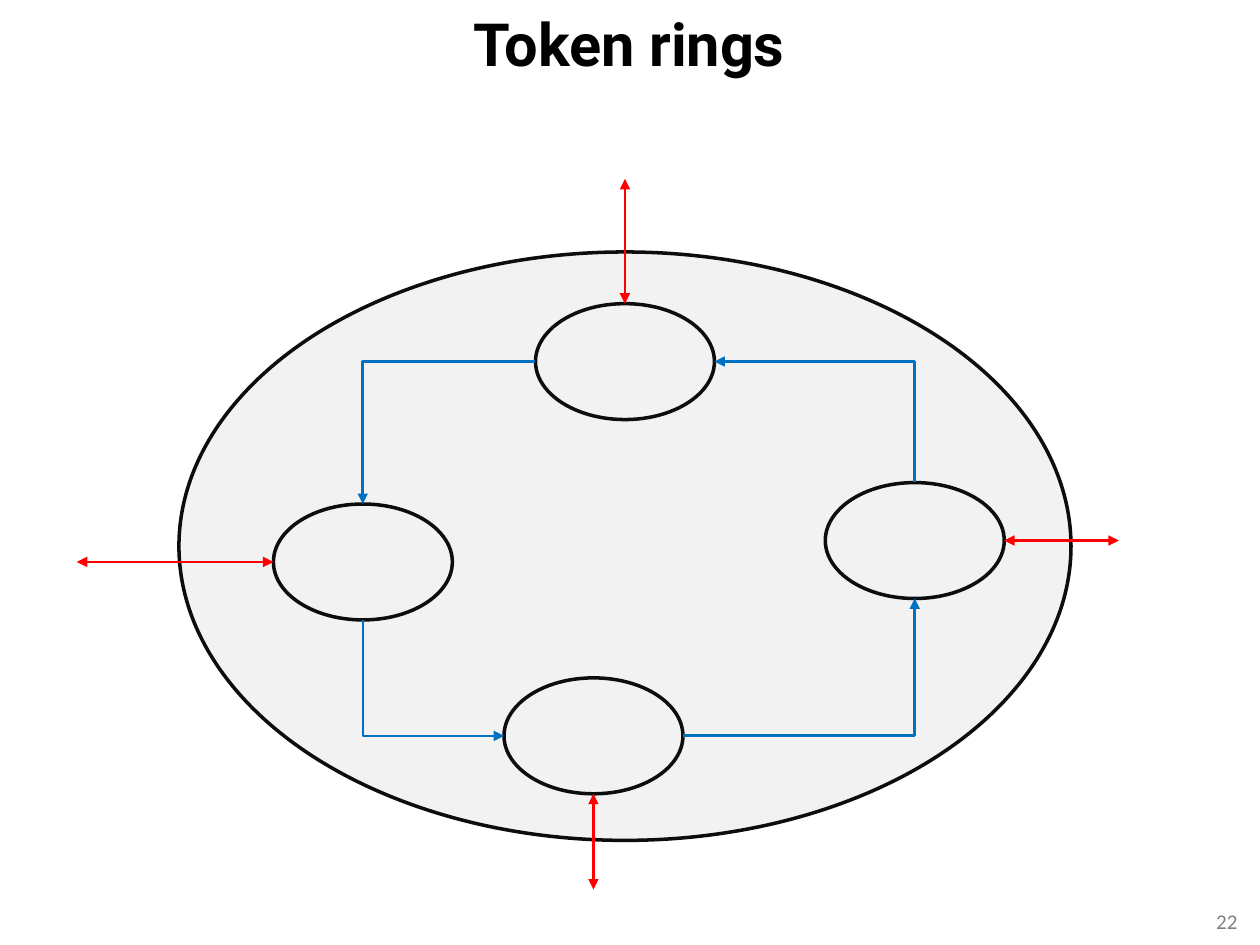
import pptx
import pptx.dml.color
import pptx.enum.shapes
import pptx.enum.text
import pptx.oxml
import pptx.oxml.ns
import pptx.util

Inches = pptx.util.Inches
ANCHOR = pptx.enum.text.MSO_ANCHOR
ALIGN = pptx.enum.text.PP_ALIGN
CONNECTOR = pptx.enum.shapes.MSO_CONNECTOR

THEME = {
    "ring_fill": "F2F2F2", "outline": "0D0D0D", "token": "0070C0", "link": "FF0000",
    "outline_width": 2, "arrow_width": 1.5,
    "title": {"name": "Roboto", "size": 34, "bold": True, "color": "000000"},
    "number": {"name": "Calibri", "size": 12, "bold": False, "color": "808080"},
}

TEXTS = [
    ("Token rings", (0.33, -0.08, 9.33, 0.75), "title", ANCHOR.BOTTOM, ALIGN.CENTER),
    ("22", (9.25, 7.11, 0.67, 0.4), "number", ANCHOR.MIDDLE, ALIGN.RIGHT),
]
RING = (1.42, 2, 7.08, 4.67)
NODE_WIDTH, NODE_HEIGHT = 1.42, 0.92
NODES = {"top": (4.25, 2.41), "left": (2.17, 4), "bottom": (4, 5.38), "right": (6.55, 3.83)}
# The token leaves one node's side and enters the next node's side.
TOKEN_PATHS = [
    ("top", "west", "left", "north"),
    ("left", "south", "bottom", "west"),
    ("bottom", "east", "right", "south"),
    ("right", "north", "top", "east"),
]
# Each node's side and the outer end of its link along that direction.
LINKS = [("top", "north", 1.42), ("left", "west", 0.61),
         ("right", "east", 8.88), ("bottom", "south", 7.06)]
SIDES = {"north": (0.5, 0), "south": (0.5, 1), "west": (0, 0.5), "east": (1, 0.5)}


def color(name):
    return pptx.dml.color.RGBColor.from_string(name)


def add_text(slide, text, box, style_name, anchor, alignment):
    frame = slide.shapes.add_textbox(*map(Inches, box)).text_frame
    frame.word_wrap = True
    frame.vertical_anchor = anchor
    paragraph = frame.paragraphs[0]
    paragraph.text = text
    paragraph.alignment = alignment
    style = THEME[style_name]
    values = {"name": style["name"], "size": pptx.util.Pt(style["size"]), "bold": style["bold"]}
    for attribute, value in values.items():
        setattr(paragraph.font, attribute, value)
    paragraph.font.color.rgb = color(style["color"])


def add_ellipse(slide, box, fill=None):
    shape = slide.shapes.add_shape(pptx.enum.shapes.MSO_SHAPE.OVAL, *map(Inches, box))
    shape.shadow.inherit = False
    if fill:
        shape.fill.solid()
        shape.fill.fore_color.rgb = color(fill)
    else:
        shape.fill.background()
    shape.line.color.rgb = color(THEME["outline"])
    shape.line.width = pptx.util.Pt(THEME["outline_width"])


def port(node, side):
    (left, top), (across, down) = NODES[node], SIDES[side]
    return left + across * NODE_WIDTH, top + down * NODE_HEIGHT


def add_arrow(slide, kind, start, end, line_color, ends):
    connector = slide.shapes.add_connector(kind, *map(Inches, (*start, *end)))
    connector.line.color.rgb = color(line_color)
    connector.line.width = pptx.util.Pt(THEME["arrow_width"])
    line = connector.line._get_or_add_ln()
    for tag in ends:
        line.append(pptx.oxml.parse_xml(
            f'<a:{tag} {pptx.oxml.ns.nsdecls("a")} type="triangle"/>'))
    connector._element.spPr.append(
        pptx.oxml.parse_xml(f'<a:effectLst {pptx.oxml.ns.nsdecls("a")}/>'))
    return connector


def add_token_path(slide, source, source_side, target, target_side):
    """Draw a one-corner arrow; a vertical start needs a quarter turn about its centre."""
    start, end = port(source, source_side), port(target, target_side)
    vertical = source_side in ("north", "south")
    if vertical:
        middle_x, middle_y = (start[0] + end[0]) / 2, (start[1] + end[1]) / 2
        half_x, half_y = (end[0] - start[0]) / 2, (end[1] - start[1]) / 2
        start = middle_x + half_y, middle_y - half_x
        end = middle_x - half_y, middle_y + half_x
    connector = add_arrow(slide, CONNECTOR.ELBOW, start, end, THEME["token"], ["tailEnd"])
    properties = connector._element.spPr
    properties.find(pptx.oxml.ns.qn("a:prstGeom")).set("prst", "bentConnector2")
    if vertical:
        properties.find(pptx.oxml.ns.qn("a:xfrm")).set("rot", str(270 * 60000))


def add_link(slide, node, side, outer):
    start = port(node, side)
    end = (start[0], outer) if side in ("north", "south") else (outer, start[1])
    add_arrow(slide, CONNECTOR.STRAIGHT, start, end, THEME["link"], ["headEnd", "tailEnd"])


def main():
    presentation = pptx.Presentation()
    presentation.slide_width, presentation.slide_height = Inches(10), Inches(7.5)
    slide = presentation.slides.add_slide(presentation.slide_layouts[6])
    add_ellipse(slide, RING, THEME["ring_fill"])
    for text in TEXTS:
        add_text(slide, *text)
    for position in NODES.values():
        add_ellipse(slide, (*position, NODE_WIDTH, NODE_HEIGHT))
    for token_path in TOKEN_PATHS:
        add_token_path(slide, *token_path)
    for link in LINKS:
        add_link(slide, *link)
    presentation.save("out.pptx")


if __name__ == "__main__":
    main()
